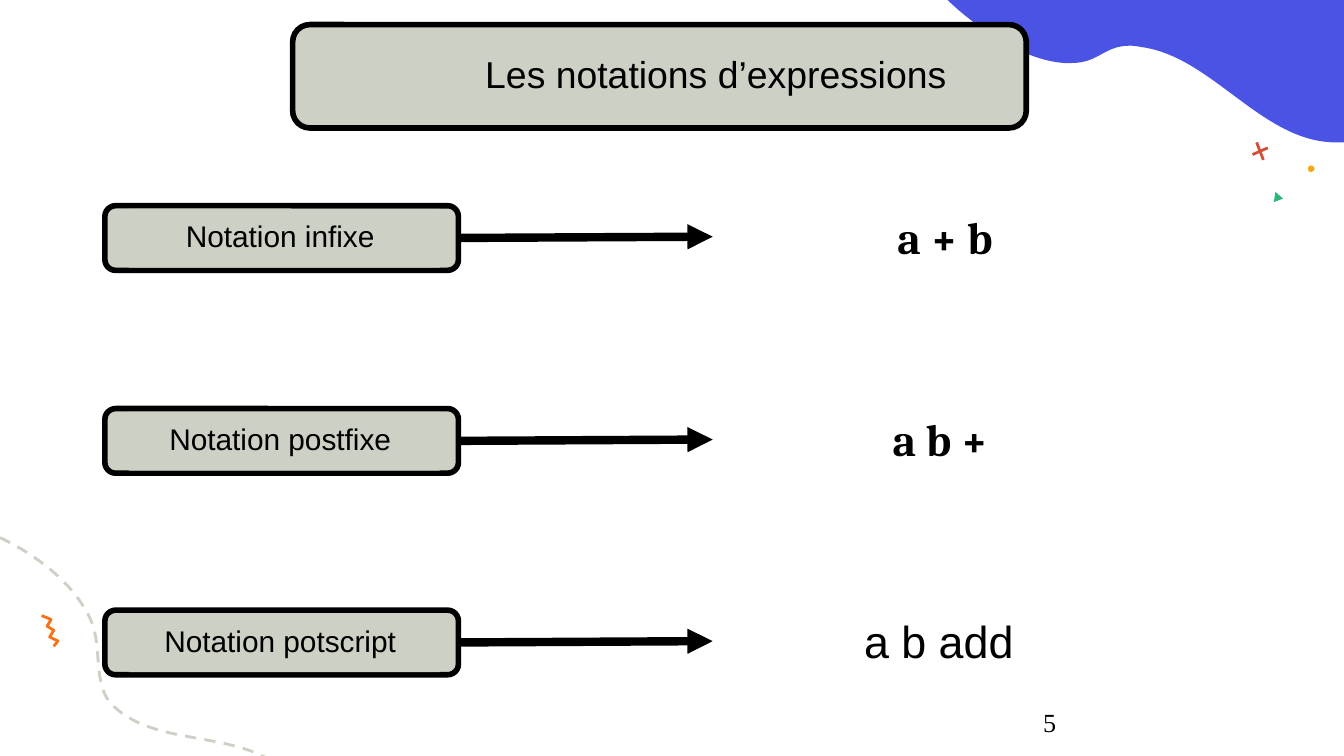
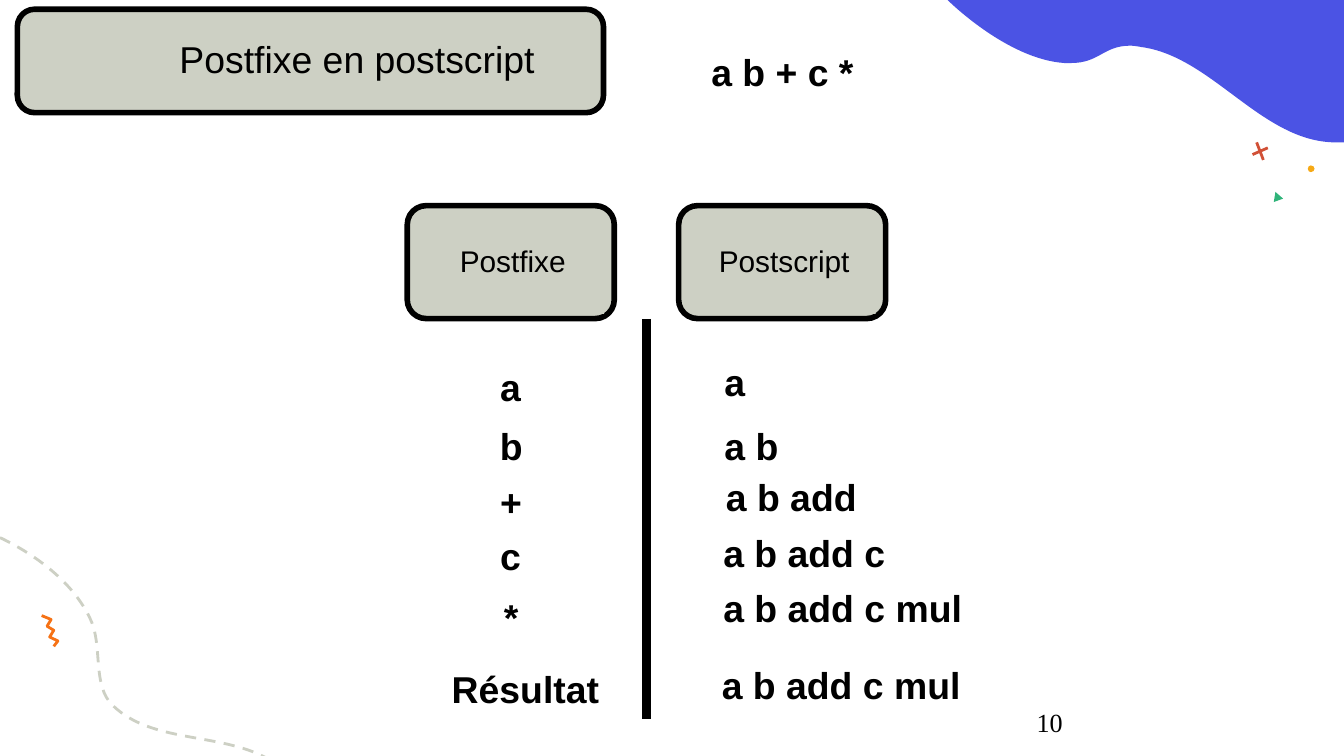
from dataclasses import dataclass

from lxml import etree
from pptx import Presentation
from pptx.dml.color import RGBColor
from pptx.enum import dml, shapes, text
from pptx.oxml import ns
from pptx.util import Pt


@dataclass(frozen=True)
class Theme:
    ink: str = "000000"
    stone: str = "CDD0C4"
    wave: str = "4B53E4"
    dot: str = "F6A915"
    leaf: str = "30B47A"
    zigzag: str = "F67215"
    cross: str = "D15036"
    sans: str = "Arial"
    math: str = "Cambria"
    serif: str = "Times New Roman"
    title: int = 20
    label: int = 16
    sample: int = 24
    folio: int = 14
    thin: float = 1.5
    edge: float = 3
    bold: float = 4.5


WAVE = [
    (715.7, 76.3),
    (676.1, 76.3, 649.4, 30.2, 611.3, 25.2),
    (609.1, 24.8, 607, 24.5, 605.5, 24.5),
    (591.1, 24.5, 589, 33.8, 573.8, 33.8),
    (572.4, 33.8, 571, 33.8, 570.2, 33.8),
    (539.3, 31.7, 507.6, 0, 507.6, 0),
    (720, 0),
    (720, 76.3),
    (718.6, 76.3, 717.1, 76.3, 715.7, 76.3),
]
TRAIL = [
    (0, 288),
    (19.4, 297.4, 38.9, 311.8, 48.2, 331.2),
    (55.4, 345.6, 49, 367.2, 60.5, 378),
    (81.4, 398.2, 117.4, 392.4, 142.6, 406),
]
DOT = [
    (702.2, 88.6),
    (701.3, 88.6, 700.6, 89.4, 700.6, 90.4),
    (700.6, 91.4, 701.3, 92.2, 702.2, 92.2),
    (703.4, 92.2, 704.2, 91.4, 704.2, 90.4),
    (704.2, 89.4, 703.4, 88.6, 702.2, 88.6),
]
LEAF = [(683.3, 102.8), (682.4, 108.2), (687.4, 106.4), (683.3, 102.8)]
ZIGZAG = [(22.3, 329.8), (27.4, 331.9), (25.2, 335.5), (28.8, 337.7),
          (26.6, 341.3), (31, 343.4), (28.8, 346.3)]
CROSS = [[(673.2, 76.3), (676.8, 85.7)], [(671, 82.8), (679.2, 79.2)]]


def bend(shape, route):
    outline = shape._element.find(".//" + ns.qn("a:path"))
    for line, part in zip(outline.findall(ns.qn("a:lnTo")), route[1:]):
        if len(part) == 2:
            continue
        curve = etree.Element(ns.qn("a:cubicBezTo"))
        for x, y in zip(part[::2], part[1::2]):
            etree.SubElement(curve, ns.qn("a:pt"), x=str(Pt(x) - shape.left),
                             y=str(Pt(y) - shape.top))
        outline.replace(line, curve)


def write(shape, words, *, font, size, color, bold=False, align=None,
          wrap=True, inset=None, middle=False, leading=None):
    frame = shape.text_frame
    frame.word_wrap = wrap
    if inset is not None:
        frame.margin_left = frame.margin_right = Pt(inset)
        frame.margin_top = frame.margin_bottom = Pt(inset)
    if middle:
        frame.vertical_anchor = text.MSO_ANCHOR.MIDDLE
    para = frame.paragraphs[0]
    para.alignment = align or text.PP_ALIGN.LEFT
    if leading:
        para.line_spacing = leading
    run = para.add_run()
    run.text = words
    run.font.name = font
    run.font.size = Pt(size)
    run.font.bold = bold
    run.font.color.rgb = RGBColor.from_string(color)


class Deck:
    """Holds the theme and the current slide, and draws elements on it."""

    def __init__(self, theme):
        self.theme = theme
        self.show = Presentation()
        self.show.slide_width, self.show.slide_height = Pt(720), Pt(405)
        self.slide = None

    def start(self, folio):
        self.slide = self.show.slides.add_slide(self.show.slide_layouts[6])
        look = self.theme
        self.trace(WAVE, fill=look.wave)
        self.trace(TRAIL, line=look.stone, dash=True)
        self.trace(DOT, fill=look.dot)
        self.trace(LEAF, fill=look.leaf)
        self.trace(ZIGZAG, line=look.zigzag)
        for stroke in CROSS:
            self.trace(stroke, line=look.cross)
        self.note(folio, (404.6, 375.1, 315.4, 24.5), font=look.serif,
                  size=look.folio, align=text.PP_ALIGN.CENTER)

    def paint(self, shape, fill=None, line=None, width=0):
        shape.shadow.inherit = False
        if fill:
            shape.fill.solid()
            shape.fill.fore_color.rgb = RGBColor.from_string(fill)
        else:
            shape.fill.background()
        if line:
            shape.line.color.rgb = RGBColor.from_string(line)
            shape.line.width = Pt(width)
        else:
            shape.line.fill.background()
        return shape

    def trace(self, route, fill=None, line=None, dash=False):
        points = [(Pt(part[-2]), Pt(part[-1])) for part in route]
        pen = self.slide.shapes.build_freeform(*points[0])
        pen.add_line_segments(points[1:], close=bool(fill))
        shape = self.paint(pen.convert_to_shape(), fill, line, self.theme.thin)
        bend(shape, route)
        if dash:
            shape.line.dash_style = dml.MSO_LINE.DASH

    def block(self, frame, fill, kind=shapes.MSO_SHAPE.RECTANGLE, line=None):
        shape = self.slide.shapes.add_shape(kind, *map(Pt, frame))
        return self.paint(shape, fill, line, self.theme.edge)

    def link(self, start, end, arrow=False):
        line = self.slide.shapes.add_connector(
            shapes.MSO_CONNECTOR.STRAIGHT, *map(Pt, (*start, *end)))
        line.line.color.rgb = RGBColor.from_string(self.theme.ink)
        line.line.width = Pt(self.theme.bold)
        if arrow:
            etree.SubElement(line.line._get_or_add_ln(),
                             ns.qn("a:tailEnd"), type="triangle")
        etree.SubElement(line._element.spPr, ns.qn("a:effectLst"))

    def note(self, words, frame, **style):
        box = self.slide.shapes.add_textbox(*map(Pt, frame))
        base = dict(font=self.theme.sans, size=self.theme.title,
                    color=self.theme.ink)
        write(box, words, **(base | style))
        box.text_frame.auto_size = text.MSO_AUTO_SIZE.SHAPE_TO_FIT_TEXT

    def label(self, words, frame, indent, span, size):
        look = self.theme
        left, top, _, height = frame
        self.block(frame, look.stone, shapes.MSO_SHAPE.ROUNDED_RECTANGLE, look.ink)
        panel = self.block((left + indent, top + 0.05 * height, span, 0.91 * height),
                           look.stone)
        write(panel, words, font=look.sans, size=size, color=look.ink,
              align=text.PP_ALIGN.CENTER, inset=5, middle=True, leading=0.9)


def forms(deck):
    look = deck.theme
    deck.start("5")
    rows = [("Notation infixe ", "a + b", look.math, True, 110.2),
            ("Notation postfixe ", "a b + ", look.math, True, 218.9),
            ("Notation potscript ", "a b add ", look.sans, False, 326.9)]
    for name, sample, font, bold, top in rows:
        deck.label(name, (56.2, top, 189.4, 34.6), 13, 166.3, look.label)
        deck.link((245.5, top + 17.3), (381.8, top + 16.6), arrow=True)
        deck.note(sample, (381.8, top - 1.6, 249, 36), font=font,
                  size=look.sample, bold=bold, align=text.PP_ALIGN.CENTER)
    deck.label("Les notations d’expressions", (156.8, 13.2, 393, 55.4),
               78.5, 296.6, look.title)


def steps(deck):
    look = deck.theme
    deck.start("10")
    deck.note("a b + c *", (374, 22.6, 103, 31.5), bold=True)
    for name, left in (("Postscript", 363.6), ("Postfixe", 218.2)):
        deck.label(name, (left, 110.2, 110.9, 60.5), 7.5, 98, look.label)
    deck.link((346.3, 170.8), (346.3, 385.2))
    cells = [
        ("a", 260.8, 191.8, 26), ("b", 260.8, 223.4, 26.6),
        ("+", 260.8, 253.4, 26), ("c", 260.8, 282.2, 26),
        ("*", 262.8, 314.6, 22.3),
        ("a b", 381, 223.4, 44), ("a b add", 381.8, 250.6, 85),
        ("a b add c", 380.4, 280.4, 102.2), ("a b add c mul", 380.4, 309.9, 143.3),
        ("a", 381, 188.9, 26),
        ("Résultat", 234.9, 353.5, 94.3), ("a b add c mul", 379.6, 351.4, 143.3),
    ]
    for words, left, top, width in cells:
        deck.note(words, (left, top, width, 31.5), bold=True, wrap=False)
    deck.label("Postfixe en postscript", (9.3, 5, 314, 55.4),
               81.3, 201.6, look.title)


def main():
    deck = Deck(Theme())
    forms(deck)
    steps(deck)
    deck.show.save("out.pptx")


if __name__ == "__main__":
    main()
